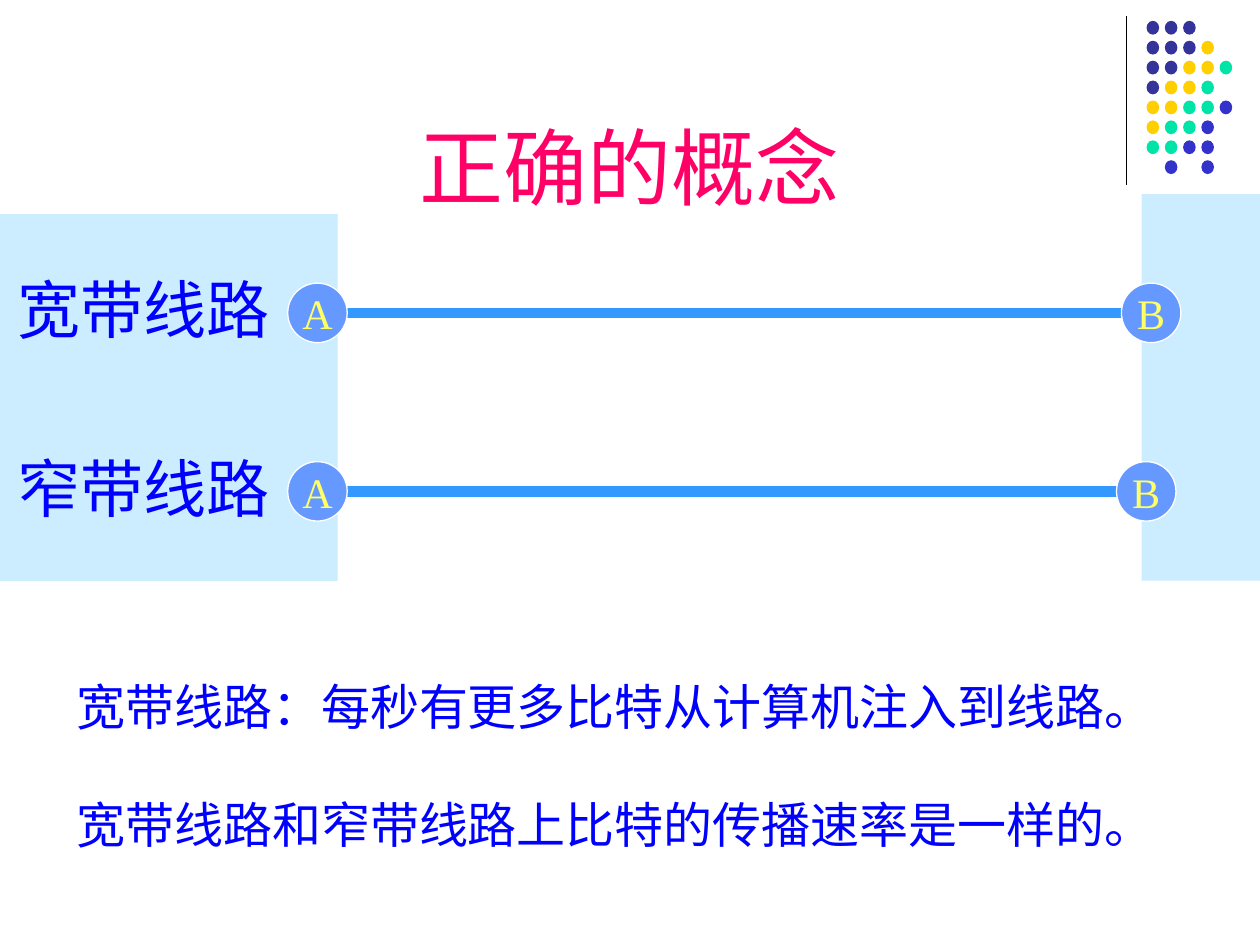
import pptx
import pptx.util
import pptx.dml.color
import pptx.enum.shapes
import pptx.enum.text
import lxml.etree

Pt = pptx.util.Pt
Kind = pptx.enum.shapes.MSO_SHAPE
Align = pptx.enum.text.PP_ALIGN
Anchor = pptx.enum.text.MSO_ANCHOR
ROMAN = "Times New Roman"
INK = "0000FF"
HUES = {"n": "333399", "y": "FFCF01", "g": "00E4A8", "b": "3333CC"}
DOTS = ["nnn", "nnny", "nnyyg", "nyyg", "yyggb", "yggb", "ggbb", " b b"]


def color(code):
    return pptx.dml.color.RGBColor.from_string(code)


def shape(slide, kind, box, fill, edge=None):
    item = slide.shapes.add_shape(kind, *map(Pt, box))
    item.shadow.inherit = False
    item.fill.solid()
    item.fill.fore_color.rgb = color(fill)
    if edge:
        item.line.color.rgb = color(edge)
        item.line.width = Pt(0.75)
    else:
        item.line.fill.background()
    return item


def line(slide, start, end, tint, width):
    item = slide.shapes.add_connector(
        pptx.enum.shapes.MSO_CONNECTOR.STRAIGHT, *map(Pt, start + end))
    item.line.color.rgb = color(tint)
    item.line.width = Pt(width)
    lxml.etree.SubElement(item._element.spPr, pptx.oxml.ns.qn("a:effectLst"))


def write(item, words, size, tint, font=ROMAN, align=Align.LEFT,
          anchor=Anchor.TOP, wrap=False, gap=0):
    frame = item.text_frame
    frame.text = words
    frame.word_wrap = wrap
    frame.vertical_anchor = anchor
    for rank, para in enumerate(frame.paragraphs):
        para.alignment = align
        if rank:
            para.space_before = Pt(gap)
        for run in para.runs:
            run.font.size = Pt(size)
            run.font.name = font
            run.font.color.rgb = color(tint)


def text(slide, box, words, size, tint, **style):
    write(slide.shapes.add_textbox(*map(Pt, box)), words, size, tint, **style)


def motif(slide, left, top):
    line(slide, (left, top), (left, top + 96.5), "000000", 0.75)
    for row, marks in enumerate(DOTS):
        for col, mark in enumerate(marks):
            if mark in HUES:
                box = (left + 11.5 + col * 10.44, top + 2.5 + row * 11.38, 7.2, 7.92)
                shape(slide, Kind.OVAL, box, HUES[mark])


def panels(slide, top, base):
    shape(slide, Kind.RECTANGLE, (0, top + 11.5, 193, base - top - 11.5), "CCECFF")
    shape(slide, Kind.RECTANGLE, (652.3, top, 87.8, base - top), "CCECFF")


def wire(slide, start, end, mid):
    line(slide, (start, mid), (end, mid), "3399FF", 6)


def nodes(slide, mid, ends):
    for name, left in zip("AB", ends):
        node = shape(slide, Kind.OVAL, (left, mid - 17, 34, 34), "6699FF", "FFFFFF")
        write(node, name, 24, "FFFF66", align=Align.CENTER, anchor=Anchor.MIDDLE)


def label(slide, mid, words):
    text(slide, (3, mid - 27.5, 158.4, 50.4), words, 36, INK)


def notes(slide, box):
    text(slide, box, "宽带线路：每秒有更多比特从计算机注入到线路。\n"
         "宽带线路和窄带线路上比特的传播速率是一样的。", 28, INK, wrap=True, gap=33.6)


def title(slide, box):
    text(slide, box, "正确的概念", 48, "FF0066", font="Arial",
         align=Align.CENTER, anchor=Anchor.BOTTOM, wrap=True)


def main():
    deck = pptx.Presentation()
    deck.slide_width, deck.slide_height = Pt(720), Pt(540)
    slide = deck.slides.add_slide(deck.slide_layouts[6])
    wide, thin = 178.8, 280.8
    motif(slide, 643.7, 9.4)
    wire(slide, 167, 666, wide)
    panels(slide, 110.9, 331.9)
    nodes(slide, wide, (164.4, 640.8))
    wire(slide, 181.4, 640.8, thin)
    nodes(slide, thin, (164.4, 638))
    label(slide, wide, "宽带线路")
    label(slide, thin, "窄带线路")
    notes(slide, (36.7, 383, 652.3, 108))
    title(slide, (36, 37.4, 648, 90))
    deck.save("out.pptx")


if __name__ == "__main__":
    main()
